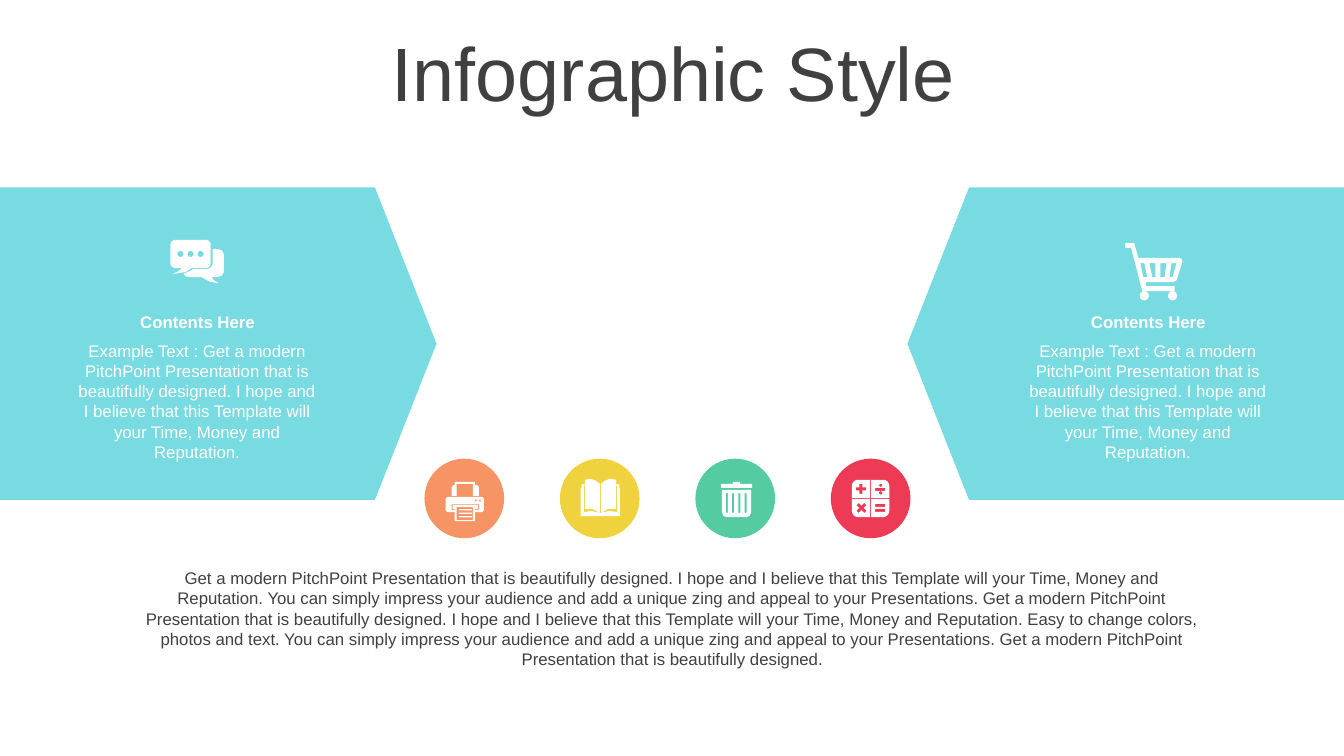
from math import cos, radians, sin

from pptx import Presentation
from pptx.dml.color import RGBColor
from pptx.enum.shapes import MSO_SHAPE
from pptx.enum.text import MSO_ANCHOR, PP_ALIGN
from pptx.util import Inches, Pt

COLORS = {
    "ink": "404040",
    "white": "FFFFFF",
    "aqua": "77DBE1",
    "orange": "F79465",
    "yellow": "F0D23F",
    "green": "54CBA0",
    "red": "ED3B55",
}

PRAISE = ("Get a modern PitchPoint Presentation that is beautifully designed. "
          "I hope and I believe that this Template will your Time, Money and Reputation.")
IMPRESS = ("You can simply impress your audience and add a unique zing and appeal "
           "to your Presentations.")
SUMMARY = (f"{PRAISE} {IMPRESS} {PRAISE} Easy to change colors, photos and text. "
           f"{IMPRESS} Get a modern PitchPoint Presentation that is beautifully designed.")


# Icon outlines are lists of points in hundredths of an inch on the slide.
def box(left, top, right, bottom):
    return [(left, top), (right, top), (right, bottom), (left, bottom)]


def rounded(left, top, right, bottom, radius, tail=()):
    """Rounded box; tail points are inserted into its bottom edge, right to left."""
    centers = [(right - radius, bottom - radius), (left + radius, bottom - radius),
               (left + radius, top + radius), (right - radius, top + radius)]
    points = []
    for corner, (x, y) in enumerate(centers):
        for step in range(7):
            angle = radians(90 * corner + 15 * step)
            points.append((x + radius * cos(angle), y + radius * sin(angle)))
        if corner == 0:
            points.extend(tail)
    return points


def disc(x, y, radius):
    return rounded(x - radius, y - radius, x + radius, y + radius, radius)


def cross(x, y, arm, half, turn=0):
    c, s = cos(radians(turn)), sin(radians(turn))
    points = []
    for _ in range(4):
        for u, v in ((arm, -half), (arm, half), (half, half)):
            points.append((x + u * c - v * s, y + u * s + v * c))
        c, s = -s, c
    return points


def chat_icon():
    tail = [(190, 266), (184, 270), (171, 272), (177, 269), (181, 266)]
    back_bubble = [(211, 247), (216, 247), (220, 248.5), (222, 252), (222, 270),
                   (220, 273.5), (216, 275), (210, 275), (212, 278), (217, 281),
                   (208, 279.5), (200, 275), (187, 275), (184, 274), (182, 272),
                   (192, 267), (205, 267), (209, 265.5), (211, 262)]
    return [rounded(169, 238, 209, 266, 5, tail), back_bubble,
            *[disc(x, 252, 3) for x in (179, 189, 199)]]


def cart_icon():
    frame = [(1125, 241), (1129, 256), (1170, 256), (1172, 257), (1173, 259),
             (1167, 278), (1164, 280), (1136, 280), (1137, 284), (1165, 284),
             (1165, 289), (1133, 289), (1122, 246), (1116, 246), (1116, 241)]
    slots = [[(1131, 261), (1135, 261), (1138, 275), (1134, 275)],
             [(1140, 261), (1146, 261), (1146, 275), (1143, 275)],
             [(1151, 261), (1157, 261), (1155, 275), (1151, 275)],
             [(1162, 261), (1167, 261), (1163, 275), (1160, 275)]]
    return [frame, *slots, disc(1135, 293.5, 4.5), disc(1163, 293.5, 4.5)]


def printer_icon():
    feed = [(451, 478), (471, 478), (471, 481), (473, 481), (475, 483), (475, 492),
            (469, 492), (469, 480), (453, 480), (453, 492), (448, 492), (448, 483),
            (450, 481), (451, 481)]
    tray_slot = [(448, 500), (475, 500), (475, 506), (471, 506), (471, 505), (474, 505),
                 (474, 501), (449, 501), (449, 505), (451, 505), (451, 506), (448, 506)]
    sheet = [(471, 508), (471, 517), (451, 517), (451, 508)]
    return [feed, rounded(442, 493, 480, 508, 2.5, sheet), tray_slot,
            box(453, 503, 469, 516),
            *[box(455, y, 468, y + 1.4) for y in (505, 508.5, 512)],
            disc(472, 496.5, 1), disc(476, 496.5, 1)]


def book_icon():
    right_half = [(596, 509), (604, 507), (612, 508), (612, 482), (611, 482), (611, 505),
                  (603, 505), (596, 509), (596, 480), (600, 477), (605, 475), (611, 476),
                  (611, 481), (614, 480), (614, 484), (615, 484), (615, 512)]
    left_half = [(1191 - x, y) for x, y in reversed(right_half)]
    return [right_half + left_half]


def trash_icon():
    lid = [(727, 478), (734, 478), (734, 480), (746, 480), (746, 484),
           (715, 484), (715, 480), (727, 480)]
    can = [(716, 486), (745, 486), (745, 508), (743.5, 512), (740, 513),
           (721, 513), (717.5, 512), (716, 508)]
    return [lid, can,
            *[rounded(x, 489, x + 2, 509, 1) for x in (720, 726, 732.3, 738.5)]]


def calculator_icon():
    gaps = [box(863, 476, 864, 513), box(845, 494, 863, 495), box(864, 494, 882, 495)]
    signs = [cross(854, 485, 5, 1.5), cross(854.5, 504, 5.5, 1.6, 45),
             *[box(868, y, 878, y + 3) for y in (484, 500, 505)],
             disc(873.5, 481.5, 1.5), disc(873.5, 489, 1.7)]
    return [rounded(845, 476, 882, 513, 6), *gaps, *signs]


def paint(shape, color):
    shape.fill.solid()
    shape.fill.fore_color.rgb = RGBColor.from_string(COLORS[color])
    shape.line.fill.background()
    shape.shadow.inherit = False


def add_figure(slide, preset, left, top, width, height, color):
    figure = slide.shapes.add_shape(
        preset, Inches(left), Inches(top), Inches(width), Inches(height))
    paint(figure, color)
    return figure


def add_icon(slide, contours):
    """Draw the contours as one white shape, nested contours being holes."""
    outlines = [[(Inches(x / 100), Inches(y / 100)) for x, y in contour]
                for contour in contours]
    builder = slide.shapes.build_freeform(*outlines[0][0])
    for index, outline in enumerate(outlines):
        if index:
            builder.move_to(*outline[0])
        builder.add_line_segments(outline[1:], close=True)
    paint(builder.convert_to_shape(), "white")


def add_text(slide, text, left, top, width, height, size=12, color="ink", bold=False,
             anchor=MSO_ANCHOR.TOP, inset=(0.1, 0.05), spacing=None):
    frame = slide.shapes.add_textbox(
        Inches(left), Inches(top), Inches(width), Inches(height)).text_frame
    frame.word_wrap = True
    frame.vertical_anchor = anchor
    frame.margin_left = frame.margin_right = Inches(inset[0])
    frame.margin_top = frame.margin_bottom = Inches(inset[1])
    paragraph = frame.paragraphs[0]
    paragraph.alignment = PP_ALIGN.CENTER
    paragraph.line_spacing = spacing
    run = paragraph.add_run()
    run.text = text
    run.font.name = "Arial"
    run.font.size = Pt(size)
    run.font.bold = bold
    run.font.color.rgb = RGBColor.from_string(COLORS[color])


def add_panel(slide, left, text_left, rotation, icon):
    arrow = add_figure(slide, MSO_SHAPE.PENTAGON, left, 1.86, 4.33, 3.1, "aqua")
    arrow.adjustments[0] = 0.197
    arrow.rotation = rotation
    add_text(slide, "Contents Here", text_left, 3.04, 2.62, 0.3, color="white",
             bold=True, inset=(0.12, 0.05))
    add_text(slide, f"Example Text : {PRAISE}", text_left, 3.33, 2.61, 1.31, color="white")
    add_icon(slide, icon)


def main():
    deck = Presentation()
    deck.slide_width, deck.slide_height = Inches(13.33), Inches(7.5)
    slide = deck.slides.add_slide(deck.slide_layouts[6])

    add_text(slide, "Infographic Style", 0.35, 0.37, 12.66, 0.79, size=54,
             anchor=MSO_ANCHOR.MIDDLE, spacing=0.9)
    add_panel(slide, 0, 0.65, 0, chat_icon())
    add_panel(slide, 9, 10.08, 180, cart_icon())

    badges = [("orange", printer_icon()), ("yellow", book_icon()),
              ("green", trash_icon()), ("red", calculator_icon())]
    for index, (color, icon) in enumerate(badges):
        add_figure(slide, MSO_SHAPE.OVAL, 4.21 + 4.03 * index / 3, 4.55, 0.79, 0.79, color)
        add_icon(slide, icon)

    add_text(slide, SUMMARY, 1.44, 5.63, 10.46, 1.01, anchor=MSO_ANCHOR.MIDDLE,
             inset=(0, 0))
    deck.save("out.pptx")


if __name__ == "__main__":
    main()
